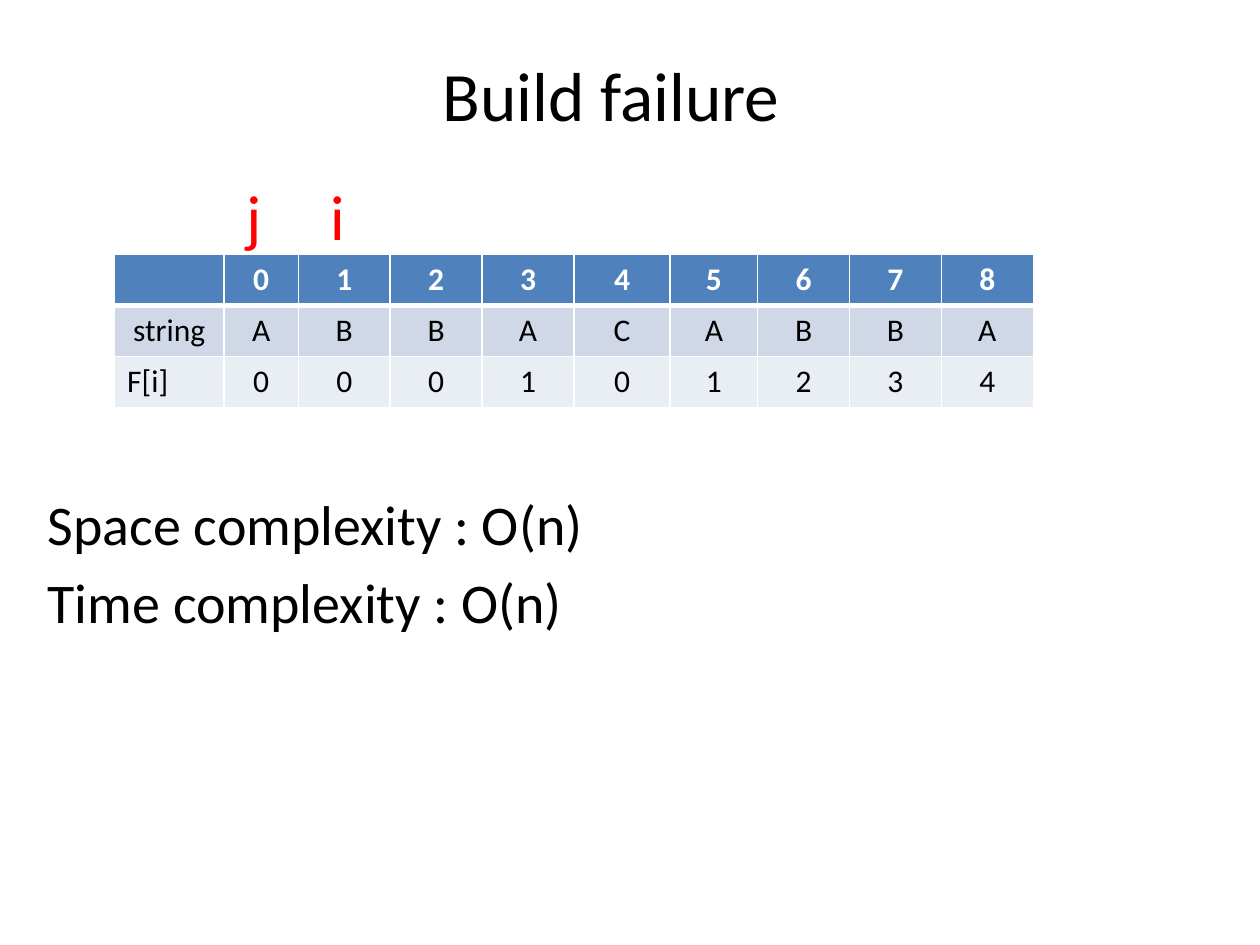
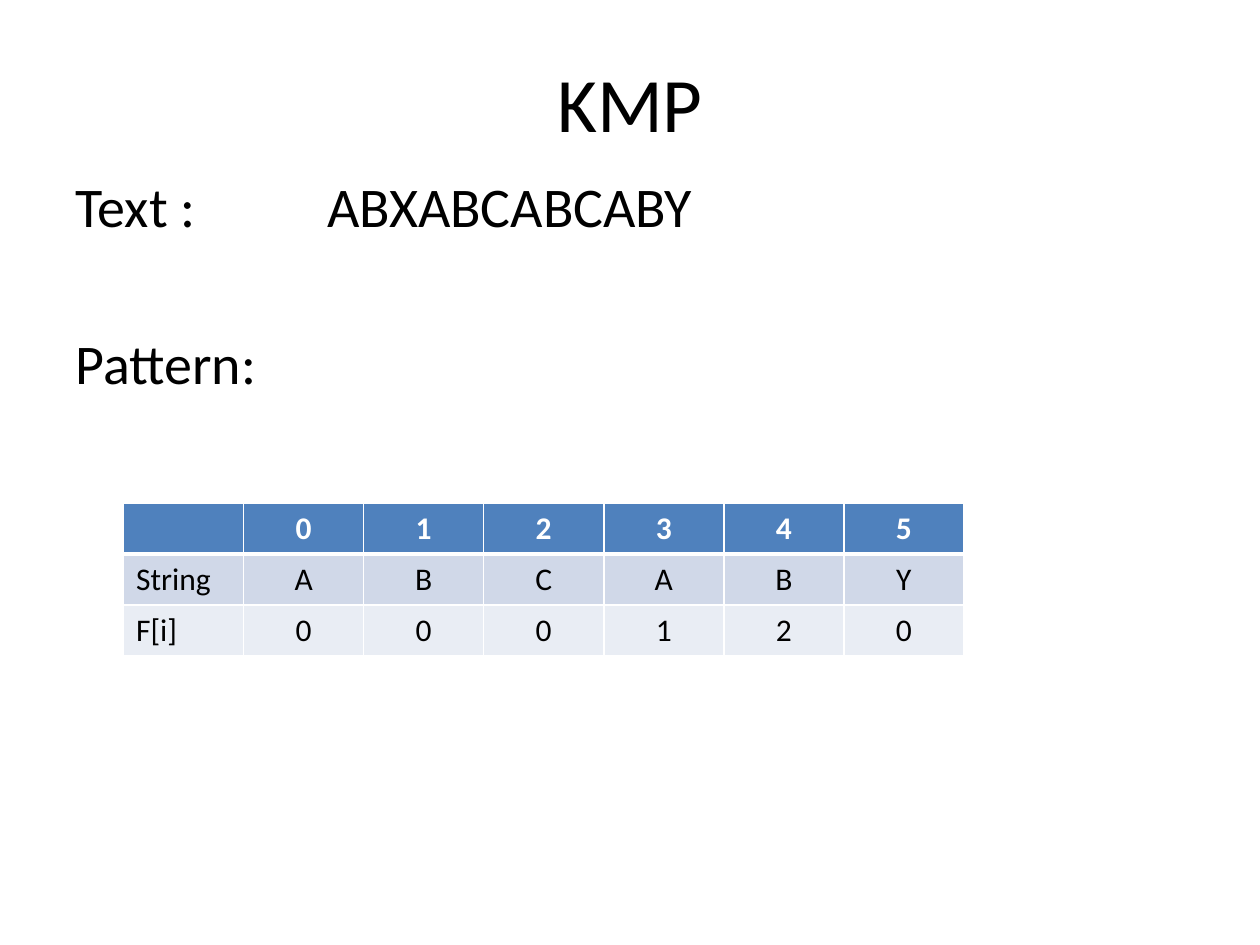
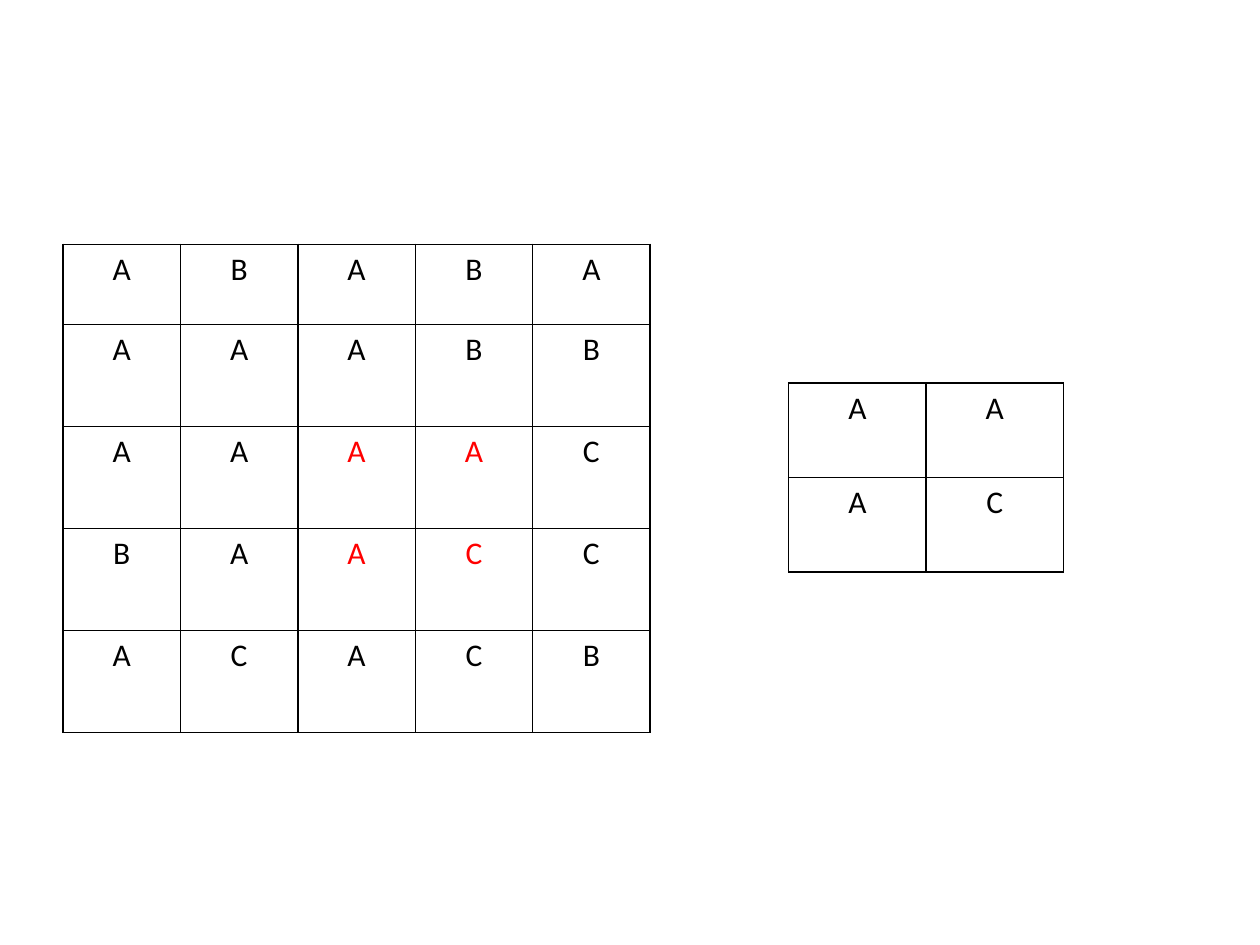
from lxml import etree
from pptx import Presentation
from pptx.dml.color import RGBColor
from pptx.enum.text import MSO_ANCHOR, PP_ALIGN
from pptx.oxml.ns import qn
from pptx.util import Pt

LEFT, CENTER = PP_ALIGN.LEFT, PP_ALIGN.CENTER
TOP, MIDDLE = MSO_ANCHOR.TOP, MSO_ANCHOR.MIDDLE
TITLE_ONLY, BLANK = 5, 6
FONT = "Calibri"
BLACK, WHITE, RED = "000000", "FFFFFF", "FF0000"
HEADER_FILL, BAND_FILLS = "4F81BD", ("D0D8E8", "E9EDF4")
BODY_SIZE, CELL_SIZE, POINTER_SIZE = 32, 18, 36.3
ROW_HEIGHT = 29.2
LEFT_LABELS = ("String", "F[i]")
MATCH = {(2, 2), (2, 3), (3, 2), (3, 3)}


def rgb(value):
    """Turn a hex string into a colour."""
    return RGBColor.from_string(value)


def add_run(p, text, size, color=BLACK, bold=False):
    """Add one formatted run to a paragraph."""
    r = p.add_run()
    r.text = text
    r.font.name = FONT
    r.font.size = Pt(size)
    r.font.bold = bold
    r.font.color.rgb = rgb(color)


def add_titled_slide(prs, title, box, size):
    """Add a title-only slide with its title placed and formatted."""
    slide = prs.slides.add_slide(prs.slide_layouts[TITLE_ONLY])
    sp = slide.shapes.title
    sp.left, sp.top, sp.width, sp.height = map(Pt, box)
    tf = sp.text_frame
    tf.vertical_anchor = MIDDLE
    p = tf.paragraphs[0]
    p.alignment = CENTER
    add_run(p, title, size)
    return slide


def add_text(slide, box, lines, size, color=BLACK, align=LEFT, anchor=TOP, gap=0):
    """Add a text box with one paragraph per line and return its paragraphs."""
    tf = slide.shapes.add_textbox(*map(Pt, box)).text_frame
    tf.word_wrap = True
    tf.vertical_anchor = anchor
    for i, line in enumerate(lines):
        p = tf.add_paragraph() if i else tf.paragraphs[0]
        p.alignment = align
        if i:
            p.space_before = Pt(gap)
        add_run(p, line, size, color)
    return tf.paragraphs


def add_tab_stop(p, position):
    """Give a paragraph a left tab stop."""
    tabs = etree.SubElement(p._p.get_or_add_pPr(), qn("a:tabLst"))
    etree.SubElement(tabs, qn("a:tab"), pos=str(Pt(position)), algn="l")


def set_borders(cell, color, top=1, bottom=1):
    """Draw the four borders of a cell."""
    tcPr = cell._tc.get_or_add_tcPr()
    for side, width in (("L", 1), ("R", 1), ("T", top), ("B", bottom)):
        ln = etree.SubElement(tcPr, qn(f"a:ln{side}"), w=str(Pt(width)))
        fill = etree.SubElement(ln, qn("a:solidFill"))
        etree.SubElement(fill, qn("a:srgbClr"), val=color)


def add_grid(slide, left, top, widths, heights, rows):
    """Add an unstyled table and yield each cell with its place and text."""
    box = map(Pt, (left, top, sum(widths), sum(heights)))
    table = slide.shapes.add_table(len(rows), len(widths), *box).table
    table.first_row = table.horz_banding = False
    for column, width in zip(table.columns, widths):
        column.width = Pt(width)
    for row, height in zip(table.rows, heights):
        row.height = Pt(height)
    for r, texts in enumerate(rows):
        for c, text in enumerate(texts):
            yield table.cell(r, c), r, c, text


def add_failure_table(slide, left, top, widths, label, pattern, failure):
    """Add a table of indexes, pattern letters and failure values."""
    rows = [["", *map(str, range(len(pattern)))], [label, *pattern], ["F[i]", *failure]]
    fills = (HEADER_FILL, *BAND_FILLS)
    for cell, r, _, text in add_grid(slide, left, top, widths, [ROW_HEIGHT] * 3, rows):
        header = r == 0
        set_borders(cell, WHITE, top=3 if r == 1 else 1, bottom=3 if header else 1)
        cell.fill.solid()
        cell.fill.fore_color.rgb = rgb(fills[r])
        p = cell.text_frame.paragraphs[0]
        p.alignment = LEFT if text in LEFT_LABELS else CENTER
        if text:
            add_run(p, text, CELL_SIZE, WHITE if header else BLACK, header)


def add_letter_grid(slide, left, top, widths, heights, rows, marked=()):
    """Add a black-lined letter grid with the marked cells in red."""
    for cell, r, c, text in add_grid(slide, left, top, widths, heights, rows):
        set_borders(cell, BLACK)
        cell.fill.background()
        p = cell.text_frame.paragraphs[0]
        p.alignment = CENTER
        add_run(p, text, CELL_SIZE, RED if (r, c) in marked else BLACK)


def build_failure_slide(prs):
    """Build the slide on the failure table and its complexity."""
    slide = add_titled_slide(prs, "Build failure", (25.2, 31.7, 648, 44), 39.6)
    add_text(slide, (20.2, 276, 648, 100),
             ["Space complexity : O(n)", "Time complexity : O(n)"], BODY_SIZE, gap=6.4)
    widths = [62.5, 42.5, 52.5, 52.5, 52.5, 55, 50, 52.5, 52.5, 52.5]
    add_failure_table(slide, 65.5, 145.4, widths, "string", "ABBACABBA", "000101234")
    for name, left in (("i", 163.4), ("j", 115.9)):
        add_text(slide, (left, 100, 59, 45.4), [name], POINTER_SIZE, RED, CENTER, MIDDLE)


def build_kmp_slide(prs):
    """Build the slide with the text and the pattern to search for."""
    slide = add_titled_slide(prs, "KMP", (36, 21.6, 648, 72.7), 44)
    lines = add_text(slide, (36, 94.3, 648, 140),
                     ["Text :\tABXABCABCABY", "Pattern:"], BODY_SIZE, gap=51.5)
    add_tab_stop(lines[0], 144)
    add_failure_table(slide, 70.6, 287.3, [68.6] * 7, "String", "ABCABY", "000120")


def build_grid_slide(prs):
    """Build the slide with the letter grid and the block found in it."""
    slide = prs.slides.add_slide(prs.slide_layouts[BLANK])
    add_letter_grid(slide, 36, 139.7, [67.1] * 5, [45.7] + [58.3] * 4,
                    ["ABABA", "AAABB", "AAAAC", "BAACC", "ACACB"], MATCH)
    add_letter_grid(slide, 450.7, 218.9, [78.5] * 2, [54] * 2, ["AA", "AC"])


def main():
    """Build and save the presentation."""
    prs = Presentation()
    prs.slide_width, prs.slide_height = Pt(720), Pt(540)
    build_failure_slide(prs)
    build_kmp_slide(prs)
    build_grid_slide(prs)
    prs.save("out.pptx")


if __name__ == "__main__":
    main()
